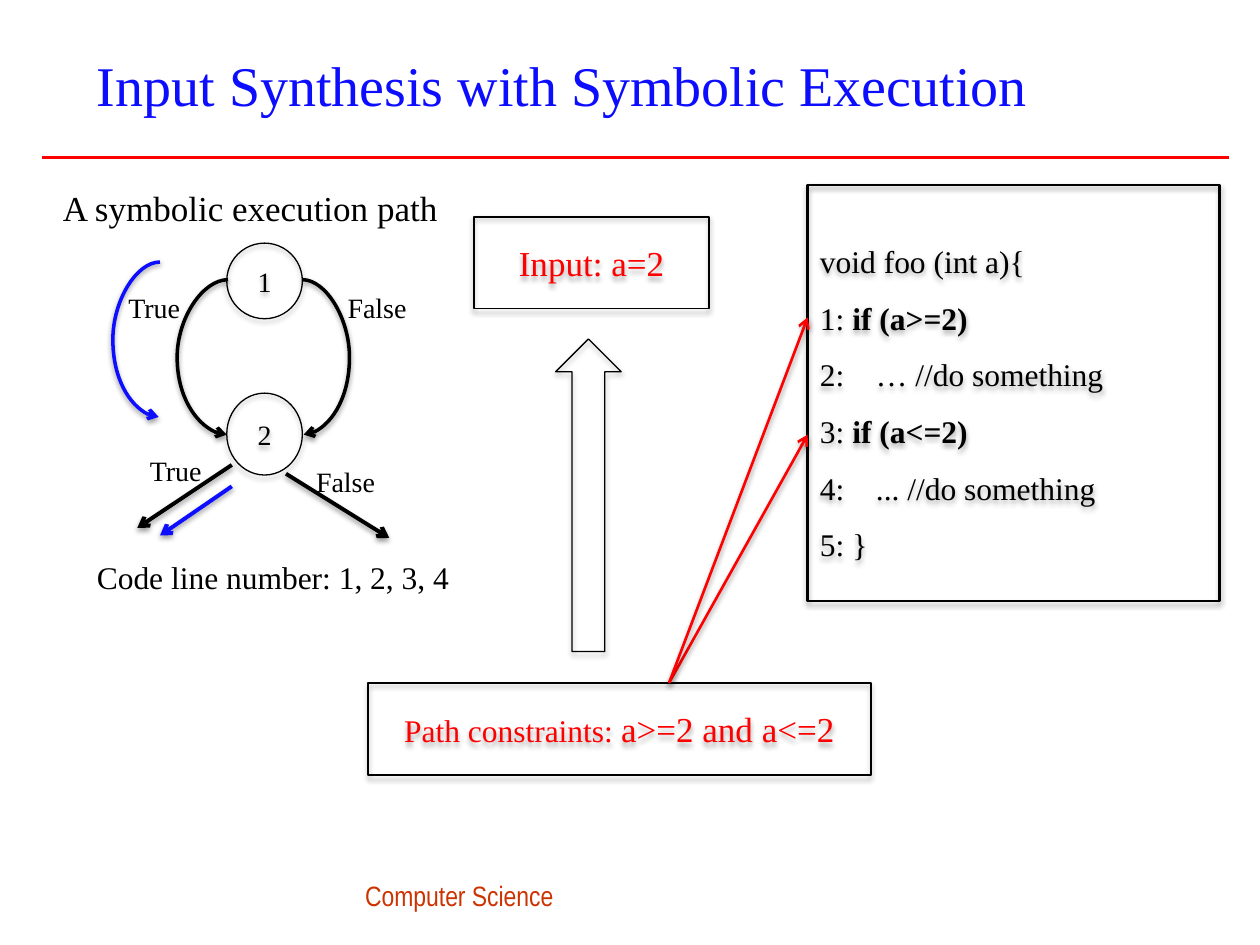
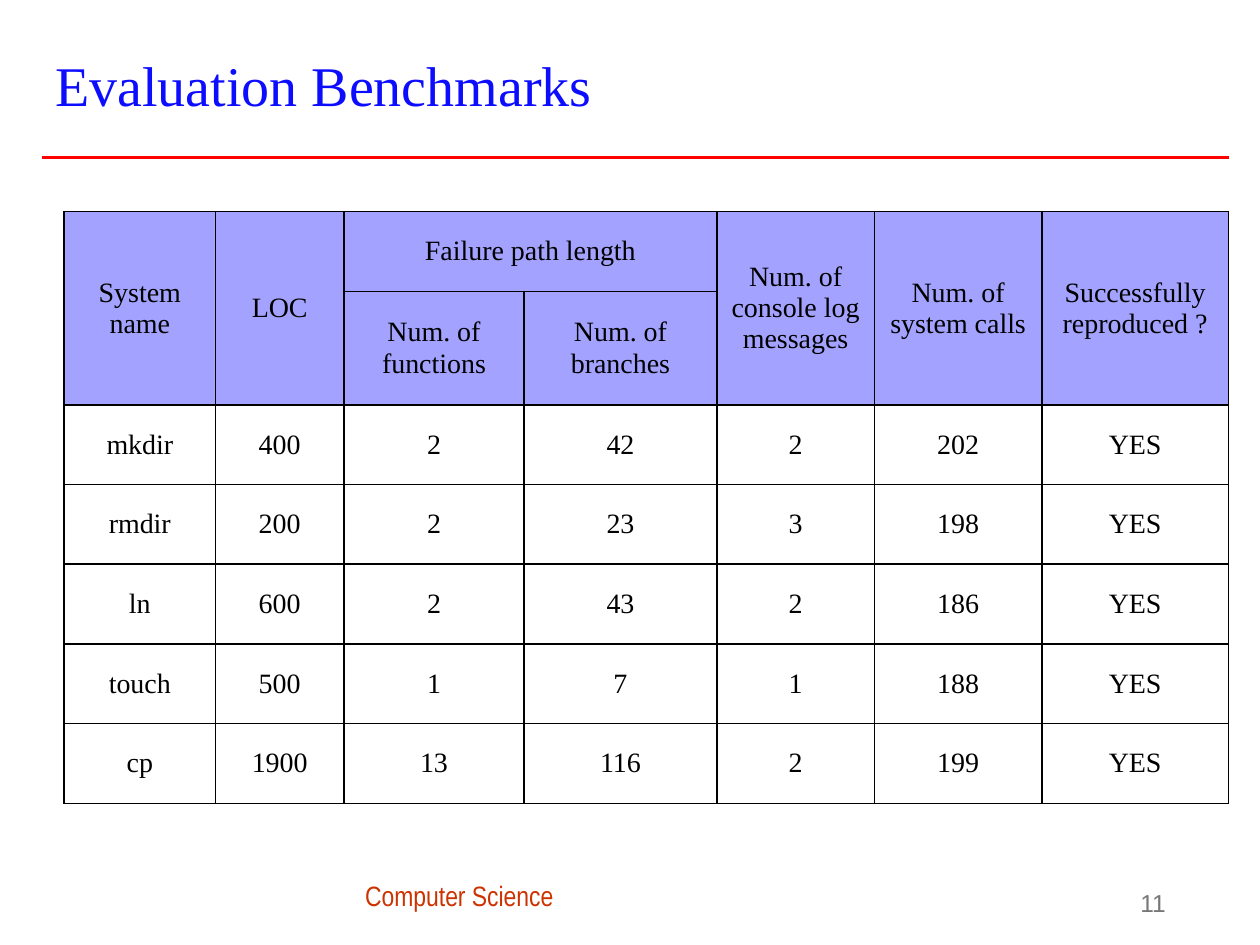
from dataclasses import dataclass

from pptx import Presentation
from pptx.dml.color import RGBColor
from pptx.enum.shapes import MSO_CONNECTOR as Link, MSO_SHAPE as Preset
from pptx.enum.text import MSO_ANCHOR as Anchor, PP_ALIGN as Align
from pptx.oxml.ns import qn
from pptx.oxml.xmlchemy import OxmlElement as new_element
from pptx.util import Inches, Pt


@dataclass(frozen=True)
class Theme:
    serif: str = "Times New Roman"
    sans: str = "Arial"
    narrow: str = "Arial Narrow"
    black: str = "000000"
    red: str = "FF0000"
    title_blue: str = "0C0CFF"
    path_blue: str = "0D0DFF"
    header_fill: str = "A3A3FF"
    footer: str = "CC3300"
    grey: str = "777777"
    title_size: int = 32
    heading_size: int = 20
    body_size: int = 18
    label_size: int = 16
    number_size: int = 14


THEME = Theme()


class SlideBuilder:
    """Draw styled elements on the current slide of a deck."""

    def __init__(self, theme):
        self.theme = theme
        self.deck = Presentation()
        self.deck.slide_width, self.deck.slide_height = Inches(10), Inches(7.5)
        self.page = None

    def start(self, title, left):
        theme = self.theme
        self.page = self.deck.slides.add_slide(self.deck.slide_layouts[6])
        self.text("Computer Science", (2.8, 6.92, 1.7, 0.37),
                  name=theme.narrow, color=theme.footer)
        self.line((0.33, 1.25), (9.75, 1.25), theme.red)
        self.text(title, (left, 0.17, 9.01, 1), anchor=Anchor.MIDDLE,
                  size=theme.title_size, color=theme.title_blue)

    def add(self, parent, tag, **attributes):
        child = new_element(tag)
        for key, value in attributes.items():
            child.set(key, str(value))
        parent.append(child)
        return child

    def drop_shadow(self, effects, opacity, distance):
        shadow = self.add(effects, "a:outerShdw", blurRad=Pt(3.1), dist=Pt(distance),
                          dir=90 * 60000, rotWithShape=0)
        color = self.add(shadow, "a:srgbClr", val=self.theme.black)
        self.add(color, "a:alpha", val=opacity * 1000)

    def format_font(self, font, color, **values):
        defaults = {"name": self.theme.serif, "size": self.theme.label_size}
        for key, value in (defaults | values).items():
            setattr(font, key, Pt(value) if key == "size" else value)
        font.color.rgb = RGBColor.from_string(color)

    def set_paragraphs(self, frame, paragraphs, align=Align.LEFT, anchor=Anchor.TOP,
                       spacing=None, color=None, **values):
        frame.word_wrap = True
        frame.vertical_anchor = anchor
        if isinstance(paragraphs, str):
            paragraphs = [paragraphs]
        for index, spans in enumerate(paragraphs):
            para = frame.add_paragraph() if index else frame.paragraphs[0]
            for key, value in {"alignment": align, "line_spacing": spacing}.items():
                setattr(para, key, value)
            for content, changes in [(spans, {})] if isinstance(spans, str) else spans:
                span = para.add_run()
                span.text = content
                self.format_font(span.font, color or self.theme.black, **(values | changes))

    def text(self, paragraphs, area, **style):
        box = self.page.shapes.add_textbox(*map(Inches, area))
        self.set_paragraphs(box.text_frame, paragraphs, **style)

    def outline(self, preset, area, width=0.75, paragraphs=(), **style):
        shape = self.page.shapes.add_shape(preset, *map(Inches, area))
        shape.fill.background()
        shape.line.width = Pt(width)
        shape.line.color.rgb = RGBColor.from_string(self.theme.black)
        shape.shadow.inherit = False
        self.drop_shadow(shape._element.spPr.find(qn("a:effectLst")), 35, 1.8)
        self.set_paragraphs(shape.text_frame, paragraphs, anchor=Anchor.MIDDLE, **style)

    def line(self, start, end, color, width=1.5, kind=Link.STRAIGHT):
        link = self.page.shapes.add_connector(kind, *map(Inches, (*start, *end)))
        link.line.width = Pt(width)
        link.line.color.rgb = RGBColor.from_string(color)
        self.add(link._element.spPr, "a:effectLst")
        return link

    def arrow(self, start, end, color, width=2.25, kind=Link.STRAIGHT):
        link = self.line(start, end, color, width, kind)
        self.add(link._element.spPr.find(qn("a:ln")), "a:tailEnd", type="arrow")
        self.drop_shadow(link._element.spPr.find(qn("a:effectLst")), 38, 1.6)
        return link

    def arc(self, start, end, bulge, color):
        link = self.arrow(start, end, color, 2, Link.CURVE)
        guides = link._element.spPr.find(qn("a:prstGeom")).find(qn("a:avLst"))
        ratio = round(bulge / abs(end[0] - start[0]) * 100000)
        self.add(guides, "a:gd", name="adj1", fmla=f"val {ratio}")

    def table(self, rows, area, widths, merges, header_rows):
        grid = self.page.shapes.add_table(len(rows), len(widths), *map(Inches, area)).table
        grid.first_row = grid.horz_banding = False
        for column, width in zip(grid.columns, widths):
            column.width = Inches(width)
        for row_index, row in enumerate(rows):
            for column_index, content in enumerate(row):
                cell = grid.cell(row_index, column_index)
                self.borders(cell)
                if row_index < header_rows:
                    cell.fill.solid()
                    cell.fill.fore_color.rgb = RGBColor.from_string(self.theme.header_fill)
                else:
                    cell.fill.background()
                if content:
                    self.set_paragraphs(cell.text_frame, content.split("\n"),
                                        align=Align.CENTER)
                cell.vertical_anchor = Anchor.MIDDLE
        for first, last in merges:
            grid.cell(*first).merge(grid.cell(*last))

    def borders(self, cell):
        properties = cell._tc.get_or_add_tcPr()
        for side in "LRTB":
            edge = self.add(properties, f"a:ln{side}", w=Pt(1))
            fill = self.add(edge, "a:solidFill")
            self.add(fill, "a:srgbClr", val=self.theme.black)


def symbolic_execution(draw):
    theme = draw.theme
    draw.start("Input Synthesis with Symbolic Execution", 0.67)

    bold = {"bold": True}
    code = ["void foo (int a){",
            [("1: ", {}), ("if (a>=2)", bold)],
            "2:    … //do something",
            [("3: ", {}), ("if (a<=2)", bold)],
            "4:    ... //do something",
            "5: }"]
    draw.outline(Preset.RECTANGLE, (6.41, 1.47, 3.27, 3.3), 1.5, code,
                 size=theme.body_size, spacing=1.5)
    for number, top, height in (("1", 1.93, 0.6), ("2", 3.12, 0.65)):
        draw.outline(Preset.OVAL, (1.8, top, 0.6, height), paragraphs=number,
                     align=Align.CENTER)

    for start_x, end_x, top, bulge, color in (
            (2.4, 2.41, 2.22, 0.38, theme.black),
            (1.81, 1.8, 2.22, 0.41, theme.black),
            (1.27, 1.26, 2.08, 0.38, theme.path_blue)):
        draw.arc((start_x, top), (end_x, top + 1.23), bulge, color)
    for start, end, color in (
            ((2.27, 3.76), (3.09, 4.27), theme.black),
            ((1.84, 3.69), (1.09, 4.19), theme.black),
            ((1.84, 3.86), (1.27, 4.25), theme.path_blue)):
        draw.arrow(start, end, color)

    for label, left, top in (("True", 0.92, 2.26), ("False", 2.66, 2.26),
                             ("True", 1.09, 3.55), ("False", 2.41, 3.64)):
        draw.text(label, (left, top, 0.75, 0.37))
    draw.text("A symbolic execution path", (0.4, 1.43, 3.63, 0.44), size=theme.heading_size)
    draw.text("Code line number: 1, 2, 3, 4", (0.67, 4.38, 3.24, 0.4), size=theme.body_size)

    constraints = [[("Path constraints: ", {"size": theme.body_size}), ("a>=2 and a<=2", {})]]
    for paragraphs, area in ((constraints, (2.92, 5.42, 3.99, 0.73)),
                             ("Input: a=2", (3.76, 1.72, 1.87, 0.73))):
        draw.outline(Preset.RECTANGLE, area, 1, paragraphs, align=Align.CENTER,
                     size=theme.heading_size, color=theme.red)
    for branch_y in (3.45, 2.52):
        draw.arrow((5.31, 5.42), (6.41, branch_y), theme.red, 1.5)
    draw.outline(Preset.UP_ARROW, (4.41, 2.69, 0.52, 2.48))


def evaluation_benchmarks(draw):
    theme = draw.theme
    draw.start("Evaluation Benchmarks", 0.34)
    draw.text("11", (7.27, 7, 2.08, 0.33), align=Align.RIGHT, anchor=Anchor.MIDDLE,
              name=theme.sans, size=theme.number_size, color=theme.grey)
    rows = [
        ("System\nname", "LOC", "Failure path length", "", "Num. of console log messages",
         "Num. of system calls", "Successfully reproduced ?"),
        ("", "", "Num. of functions", "Num. of branches", "", "", ""),
        ("mkdir", "400", "2", "42", "2", "202", "YES"),
        ("rmdir", "200", "2", "23", "3", "198", "YES"),
        ("ln", "600", "2", "43", "2", "186", "YES"),
        ("touch", "500", "1", "7", "1", "188", "YES"),
        ("cp", "1900", "13", "116", "2", "199", "YES"),
    ]
    merges = [((0, column), (1, column)) for column in (0, 1, 4, 5, 6)]
    merges.append(((0, 2), (0, 3)))
    draw.table(rows, (0.51, 1.68, 9.23, 4.43),
               (1.2, 1.02, 1.43, 1.53, 1.25, 1.33, 1.48), merges, header_rows=2)


def main():
    draw = SlideBuilder(THEME)
    symbolic_execution(draw)
    evaluation_benchmarks(draw)
    draw.deck.save("out.pptx")


if __name__ == "__main__":
    main()
